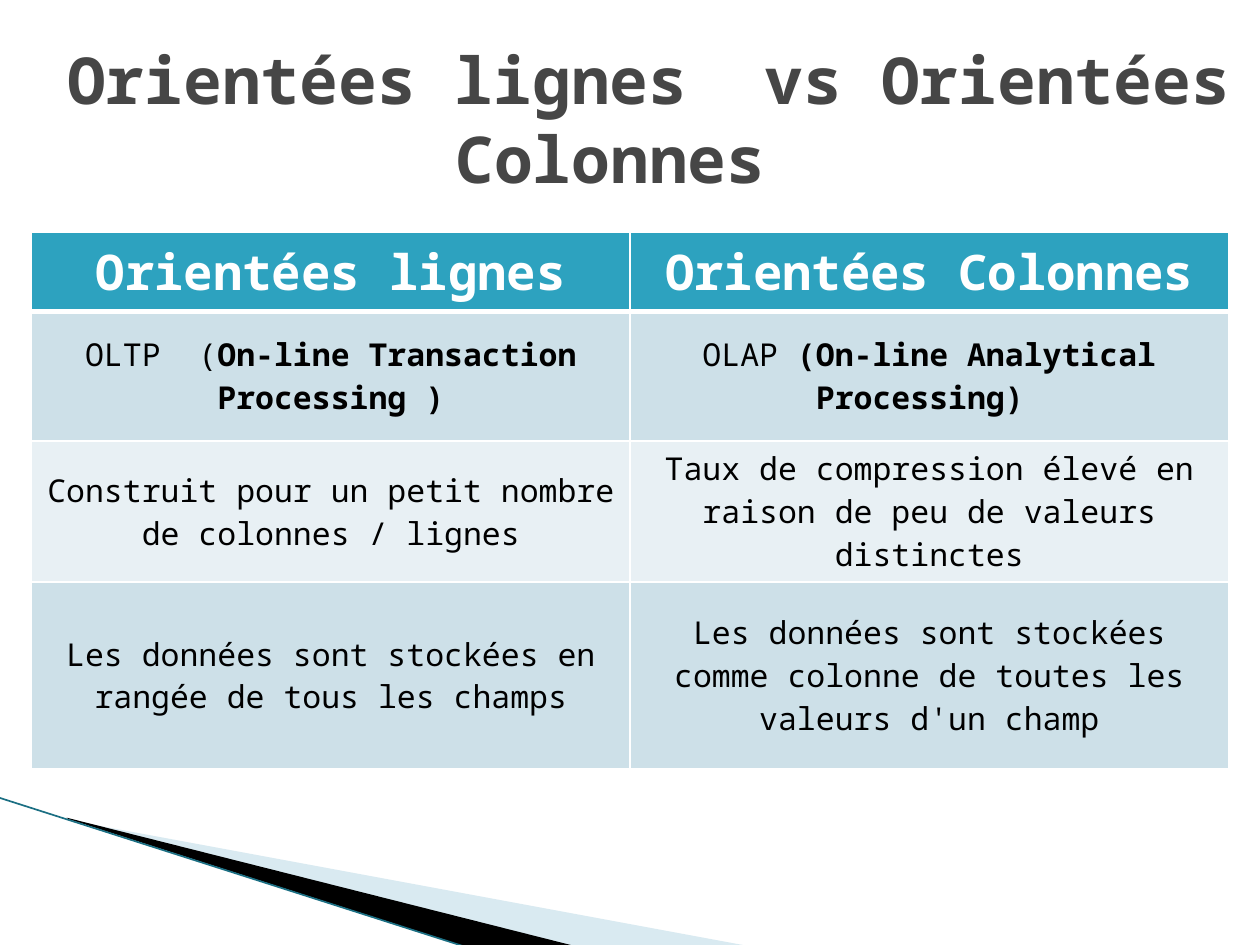
from lxml.etree import SubElement
from pptx import Presentation
from pptx.dml.color import RGBColor
from pptx.enum.shapes import MSO_CONNECTOR
from pptx.enum.text import MSO_ANCHOR, PP_ALIGN
from pptx.oxml.ns import qn
from pptx.util import Inches, Pt

COLORS = {"title": "464646", "header": "2DA2BF", "band1": "CDE0E8", "band2": "E8F0F4",
          "white": "FFFFFF", "black": "000000", "pale": "A0CBDC", "edge": "1B6F83"}
FONT = "Noto Sans Mono"

TITLE = " Orientées lignes  vs Orientées Colonnes "
# Each cell is a list of (text, bold) runs.
ROWS = [
    [[(" Orientées lignes ", True)], [("Orientées Colonnes", True)]],
    [[("OLTP  (", False), ("On-line Transaction Processing )", True)],
     [("OLAP ", False), ("(On-line Analytical Processing) ", True)]],
    [[("Construit pour un petit nombre de colonnes / lignes", False)],
     [("Taux de compression élevé en raison de peu de valeurs distinctes", False)]],
    [[("Les données sont stockées en rangée de tous les champs", False)],
     [("Les données sont stockées comme colonne de toutes les valeurs d'un champ", False)]],
]
ROW_HEIGHTS = [0.63, 1.03, 1.12, 1.48]
COL_WIDTH = 4.75
# Colour, opacity in percent, frame (left, top, width, height), outline on the slide.
WEDGES = [
    ("pale", 40, (0.78, 5.47, 4.16, 1.58),
     [(0.55, 6.51), (5.95, 7.51), (4.56, 7.51), (0.55, 6.5)]),
    ("black", 100, (-0.06, 6.33, 4.16, 0.92),
     [(0.53, 6.49), (4.57, 7.51), (3.72, 7.52), (0.54, 6.5)]),
]


def rgb(name):
    return RGBColor.from_string(COLORS[name])


def write(tf, runs, size, color, spacing=None):
    tf.word_wrap = True
    p = tf.paragraphs[0]
    p.alignment = PP_ALIGN.CENTER
    p.line_spacing = spacing
    for text, bold in runs:
        r = p.add_run()
        r.text = text
        r.font.name, r.font.size, r.font.bold = FONT, Pt(size), bold
        r.font.color.rgb = rgb(color)


def set_borders(cell, **widths):
    """Draw white borders; the widths are points keyed by side (L, R, T, B)."""
    tcPr = cell._tc.get_or_add_tcPr()
    for i, (side, width) in enumerate(widths.items()):
        ln = tcPr.makeelement(qn(f"a:ln{side}"), {"w": str(Pt(width))})
        fill = SubElement(ln, qn("a:solidFill"))
        SubElement(fill, qn("a:srgbClr"), val=COLORS["white"])
        tcPr.insert(i, ln)


def set_frame(sp, frame):
    """Give a freeform another frame while its outline stays in place."""
    left, top, width, height = (Inches(v) for v in frame)
    dx, dy = sp.left - left, sp.top - top
    outline = next(sp._element.iter(qn("a:path")))
    outline.set("w", str(width))
    outline.set("h", str(height))
    for pt in outline.iter(qn("a:pt")):
        pt.set("x", str(int(pt.get("x")) + dx))
        pt.set("y", str(int(pt.get("y")) + dy))
    sp.left, sp.top, sp.width, sp.height = left, top, width, height


def add_wedge(s, color, opacity, frame, points):
    pts = [(Inches(x), Inches(y)) for x, y in points]
    fb = s.shapes.build_freeform(*pts[0])
    fb.add_line_segments(pts[1:], close=True)
    sp = fb.convert_to_shape()
    set_frame(sp, frame)
    sp.shadow.inherit = False
    sp.fill.solid()
    sp.fill.fore_color.rgb = rgb(color)
    sp.line.fill.background()
    if opacity < 100:
        clr = sp._element.spPr.find(f"{qn('a:solidFill')}/{qn('a:srgbClr')}")
        SubElement(clr, qn("a:alpha"), val=str(opacity * 1000))


def add_comparison(s):
    frame = s.shapes.add_table(len(ROWS), 2, Inches(0.25), Inches(1.84),
                               Inches(2 * COL_WIDTH), Inches(sum(ROW_HEIGHTS)))
    table = frame.table
    for col in table.columns:
        col.width = Inches(COL_WIDTH)
    for i, (row, height) in enumerate(zip(ROWS, ROW_HEIGHTS)):
        table.rows[i].height = Inches(height)
        header = i == 0
        band = "header" if header else ("band1" if i % 2 else "band2")
        for j, runs in enumerate(row):
            cell = table.cell(i, j)
            cell.vertical_anchor = MSO_ANCHOR.MIDDLE
            cell.fill.solid()
            cell.fill.fore_color.rgb = rgb(band)
            set_borders(cell, L=1, R=1, T=3 if i == 1 else 1, B=3 if header else 1)
            write(cell.text_frame, runs, 28 if header else 18, "white" if header else "black")


def main():
    prs = Presentation()
    prs.slide_width, prs.slide_height = Inches(10), Inches(7.5)
    s = prs.slides.add_slide(prs.slide_layouts[6])

    for wedge in WEDGES:
        add_wedge(s, *wedge)
    edge = s.shapes.add_connector(MSO_CONNECTOR.STRAIGHT, Inches(-0.01), Inches(6.33),
                                  Inches(3.71), Inches(7.52))
    edge.line.color.rgb = rgb("edge")
    edge.line.width = Pt(0.95)
    SubElement(edge._element.spPr, qn("a:effectLst"))

    title = s.shapes.add_textbox(0, Inches(0.31), Inches(10), Inches(1.25))
    title.text_frame.vertical_anchor = MSO_ANCHOR.MIDDLE
    write(title.text_frame, [(TITLE, True)], 36.9, "title", spacing=1.02)

    add_comparison(s)
    prs.save("out.pptx")


if __name__ == "__main__":
    main()
